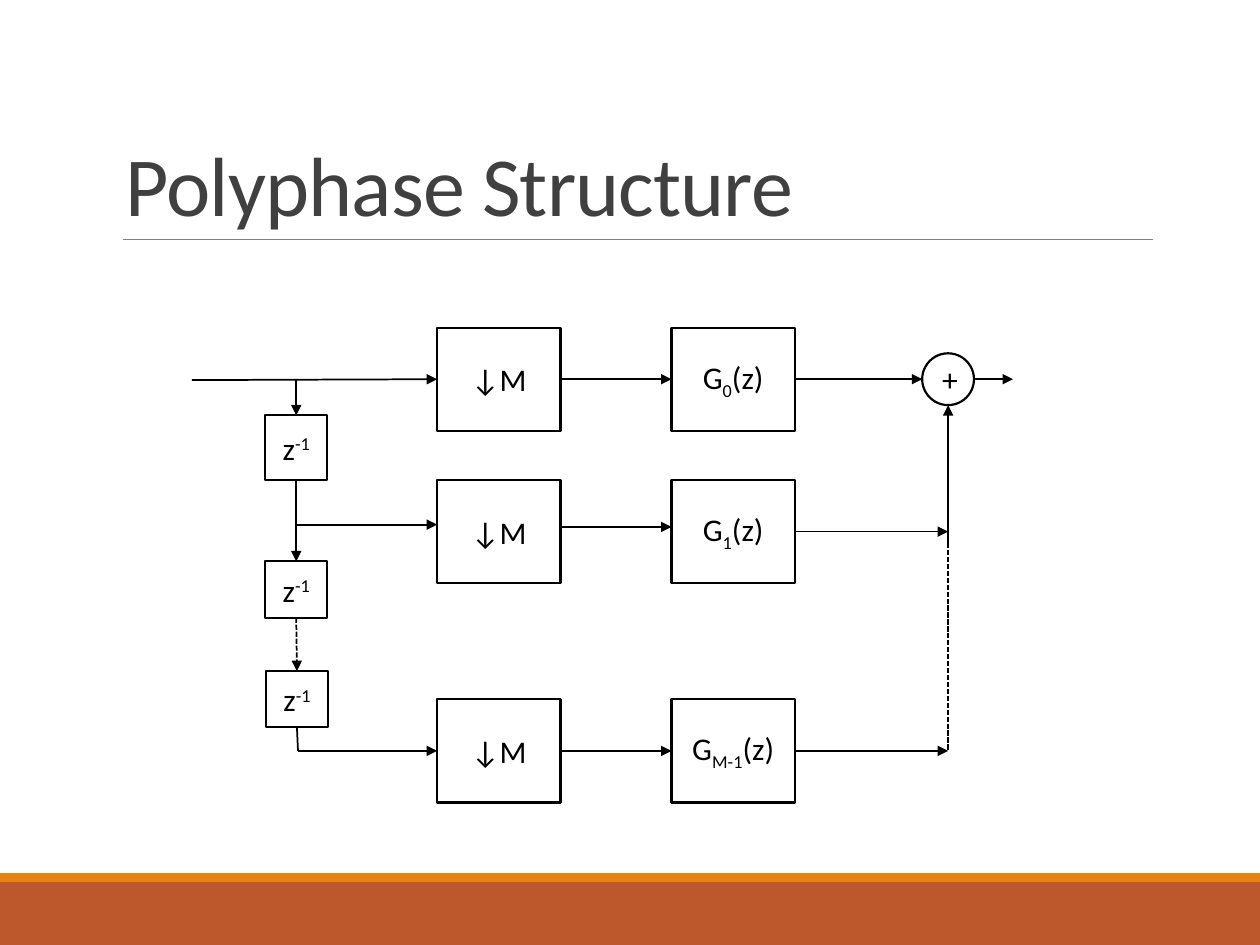
from dataclasses import dataclass
from typing import Union

from lxml import etree
from pptx import Presentation
from pptx.dml.color import RGBColor
from pptx.enum import dml, shapes, text
from pptx.oxml.ns import qn
from pptx.shapes.autoshape import Shape
from pptx.util import Pt


@dataclass(frozen=True)
class Theme:
    font: str = "Calibri"
    title: float = 48
    label: float = 18
    ink: str = "000000"
    paper: str = "FFFFFF"
    head: str = "404040"
    rule: str = "808080"
    band: str = "BD582C"
    strip: str = "E48312"
    edge: float = 1.25
    wire: float = 1


@dataclass(frozen=True)
class Run:
    text: str
    shift: int = 0


@dataclass(frozen=True)
class Block:
    x: float
    y: float
    w: float
    h: float
    runs: tuple[Run, ...] = ()
    fill: str = Theme.paper
    edged: bool = True
    kind: shapes.MSO_SHAPE = shapes.MSO_SHAPE.RECTANGLE


@dataclass(frozen=True)
class Port:
    """Middle of a rectangle's side."""
    shape: Shape
    side: int


@dataclass(frozen=True)
class Spot:
    x: float
    y: float


End = Union[Port, Spot]


@dataclass(frozen=True)
class Wire:
    start: End
    end: End
    arrow: bool = True
    dash: bool = False
    color: str = Theme.ink
    width: float = Theme.wire


TOP, LEFT, BOTTOM, RIGHT = range(4)
theme = Theme()


def add_run(para, run: Run, size: float, color: str):
    part = para.add_run()
    part.text = run.text
    font = part.font
    font.name, font.size = theme.font, Pt(size)
    font.color.rgb = RGBColor.from_string(color)
    if run.shift:
        font._element.set("baseline", str(run.shift * 1000))
    return part


def add_block(slide, b: Block) -> Shape:
    shape = slide.shapes.add_shape(b.kind, Pt(b.x), Pt(b.y), Pt(b.w), Pt(b.h))
    shape.shadow.inherit = False
    shape.fill.solid()
    shape.fill.fore_color.rgb = RGBColor.from_string(b.fill)
    if b.edged:
        shape.line.color.rgb = RGBColor.from_string(theme.ink)
        shape.line.width = Pt(theme.edge)
    else:
        shape.line.fill.background()
    frame = shape.text_frame
    frame.vertical_anchor = text.MSO_ANCHOR.MIDDLE
    para = frame.paragraphs[0]
    para.alignment = text.PP_ALIGN.CENTER
    for run in b.runs:
        add_run(para, run, theme.label, theme.ink)
    return shape


def locate(end: End) -> tuple[int, int]:
    if isinstance(end, Spot):
        return Pt(end.x), Pt(end.y)
    s = end.shape
    fx, fy = ((1, 0), (0, 1), (1, 2), (2, 1))[end.side]
    return s.left + s.width * fx // 2, s.top + s.height * fy // 2


def add_wire(slide, w: Wire) -> None:
    line = slide.shapes.add_connector(
        shapes.MSO_CONNECTOR.STRAIGHT, *locate(w.start), *locate(w.end))
    for end, join in ((w.start, line.begin_connect), (w.end, line.end_connect)):
        if isinstance(end, Port):
            join(end.shape, end.side)
    line.line.color.rgb = RGBColor.from_string(w.color)
    line.line.width = Pt(w.width)
    if w.dash:
        line.line.dash_style = dml.MSO_LINE.SQUARE_DOT
    props = line._element.spPr
    if w.arrow:
        etree.SubElement(props.find(qn("a:ln")), qn("a:tailEnd"), type="triangle")
    etree.SubElement(props, qn("a:effectLst"))


def add_title(slide, words: str) -> None:
    box = slide.shapes.add_textbox(Pt(64.8), Pt(22.3), Pt(594), Pt(114.5))
    frame = box.text_frame
    frame.word_wrap = True
    frame.vertical_anchor = text.MSO_ANCHOR.BOTTOM
    para = frame.paragraphs[0]
    para.line_spacing = 0.85
    part = add_run(para, Run(words), theme.title, theme.head)
    part.font._element.set("spc", "-50")


def add_frame(slide) -> None:
    """Footer bands, title and the rule under it."""
    add_block(slide, Block(0, 504, 720, 36, fill=theme.band, edged=False))
    add_block(slide, Block(0, 499, 720, 5, fill=theme.strip, edged=False))
    add_wire(slide, Wire(Spot(70.5, 136.8), Spot(658.8, 136.8), arrow=False,
                         color=theme.rule, width=0.5))
    add_title(slide, "Polyphase Structure")


def add_graph(slide) -> None:
    """Delay chain, decimators, filters and the adder."""
    wide, high = 70.5, 59
    rows = (187.2, 274.3, 399.6)
    mids = [y + high / 2 for y in rows]
    downs, banks = [], []
    for y, index in zip(rows, ("0", "1", "M-1")):
        name = (Run("G"), Run(index, -25), Run("(z)"))
        banks.append(add_block(slide, Block(383.7, y, wide, high, name)))
        downs.append(add_block(slide, Block(249.8, y, wide, high, (Run("↓M"),))))

    delay = (Run("z"), Run("-1", 30))
    lags = [add_block(slide, Block(x, y, 35.4, h, delay))
            for x, y, h in ((151.6, 237.4, 36.8), (151.6, 320.8, 32.2),
                            (152, 383.5, 32.2))]
    size = 29.6
    sum_x, sum_y = 541.8, mids[0]
    add_block(slide, Block(sum_x - size / 2, sum_y - size / 2, size, size,
                           (Run("+"),), kind=shapes.MSO_SHAPE.OVAL))

    tap, tap_y, mid_y, join_y = 169.3, 299.8, 301.1, 310.3
    turn = Spot(170.3, mids[2])
    hub = Spot(sum_x, join_y)
    wires = [
        Wire(Spot(109.7, 217.2), Port(downs[0], LEFT)),
        Wire(Spot(tap, mids[0]), Port(lags[0], TOP)),
        Wire(Port(lags[0], BOTTOM), Port(lags[1], TOP)),
        Wire(Port(lags[1], BOTTOM), Port(lags[2], TOP), dash=True),
        Wire(Spot(tap, tap_y), Spot(249.8, tap_y)),
        Wire(Port(lags[2], BOTTOM), turn, arrow=False),
        Wire(turn, Port(downs[2], LEFT)),
        Wire(Spot(320.3, mid_y), Spot(383.7, mid_y)),
        Wire(Port(banks[0], RIGHT), Spot(sum_x - size / 2, sum_y)),
        Wire(hub, Spot(sum_x, sum_y + size / 2)),
        Wire(hub, Spot(sum_x, mids[2]), arrow=False, dash=True),
        Wire(Spot(sum_x + size / 2, sum_y), Spot(578.9, sum_y)),
    ]
    wires += [Wire(Port(downs[i], RIGHT), Port(banks[i], LEFT)) for i in (0, 2)]
    wires += [Wire(Port(banks[i], RIGHT), Spot(sum_x, mids[i])) for i in (1, 2)]
    for wire in wires:
        add_wire(slide, wire)


def main() -> None:
    deck = Presentation()
    deck.slide_width, deck.slide_height = Pt(720), Pt(540)
    slide = deck.slides.add_slide(deck.slide_layouts[6])
    add_frame(slide)
    add_graph(slide)
    deck.save("out.pptx")


if __name__ == "__main__":
    main()
